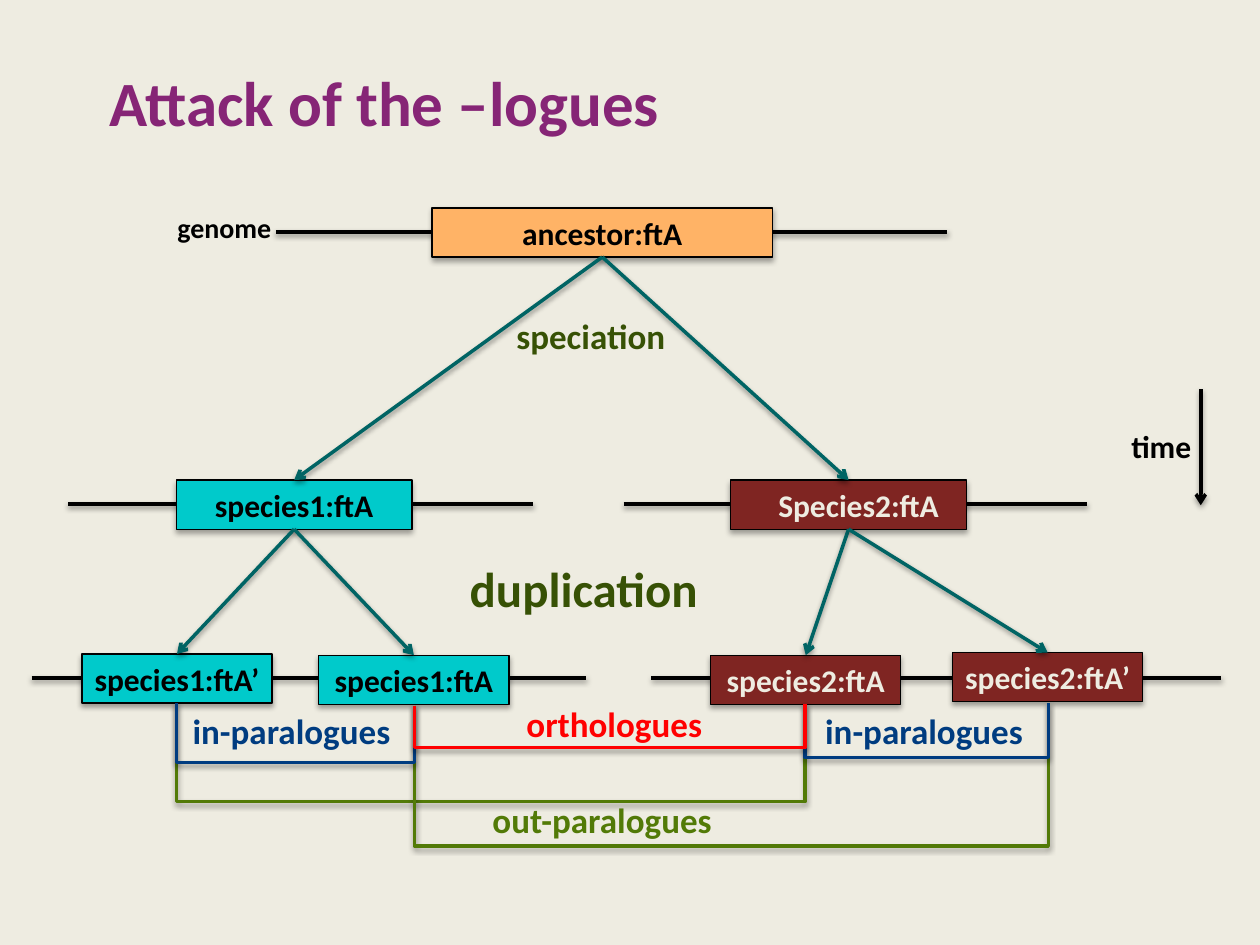
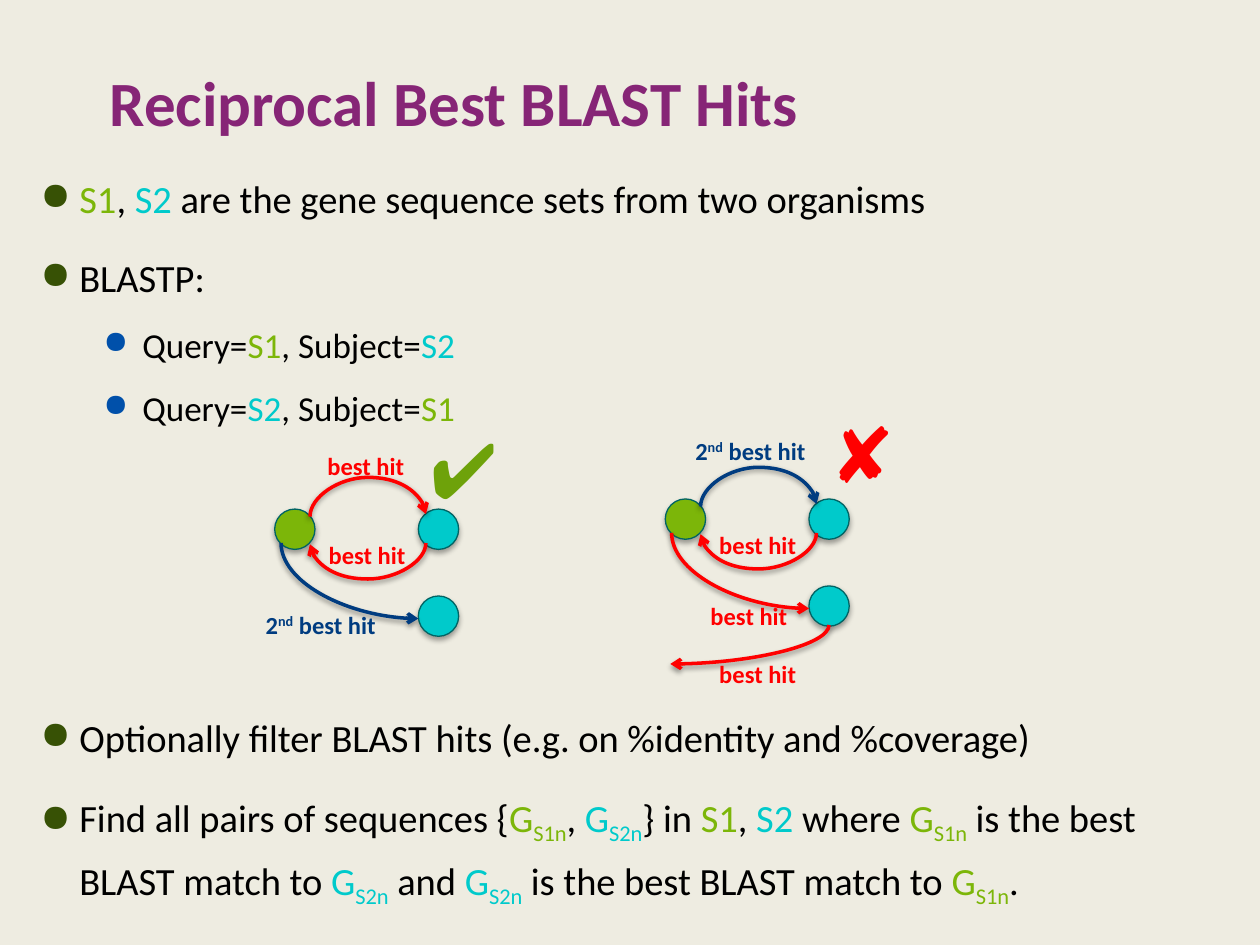
from dataclasses import dataclass

from lxml import etree
from pptx import Presentation
from pptx.dml.color import RGBColor
from pptx.enum.shapes import MSO_CONNECTOR as LINE, MSO_SHAPE as SHAPE
from pptx.enum.text import MSO_ANCHOR as ANCHOR, PP_ALIGN as ALIGN
from pptx.oxml.ns import qn
from pptx.slide import Slide
from pptx.util import Inches, Pt

FONT = "Calibri"
COLORS = {
    "paper": "EEECE1", "title": "862576", "black": "000000",
    "orange": "FFB366", "maroon": "7F2522", "cyan": "00CACB",
    "teal": "006464", "forest": "375105", "olive": "527A07",
    "green": "7CB609", "tick": "6EA20A", "navy": "003C80",
    "blue": "0050AA", "red": "FF0000",
}


def rgb(name):
    """Return the named colour."""
    return RGBColor.from_string(COLORS[name])


def sub(parent, tag, **attrs):
    """Append a drawing element with attributes."""
    el = etree.SubElement(parent, qn(tag))
    for key, value in attrs.items():
        el.set(key, str(value))
    return el


def add_shadow(spPr, alpha, dist):
    """Give a shape a soft shadow below it."""
    for old in spPr.findall(qn("a:effectLst")):
        spPr.remove(old)
    effects = sub(spPr, "a:effectLst")
    shadow = sub(effects, "a:outerShdw", blurRad=Pt(3.1), dist=Pt(dist),
                 dir=5400000, rotWithShape=0)
    color = sub(shadow, "a:srgbClr", val=COLORS["black"])
    sub(color, "a:alpha", val=alpha * 1000)


def set_font(font, size, color, bold=True):
    """Set face, size, colour and weight."""
    font.name, font.size, font.bold = FONT, Pt(size), bold
    font.color.rgb = rgb(color)


def add_runs(p, runs):
    """Add (text, colour, baseline percent) runs; a None colour is inherited."""
    for text, color, baseline in runs:
        r = p.add_run()
        r.text = text
        if color:
            r.font.color.rgb = rgb(color)
        if baseline:
            r._r.get_or_add_rPr().set("baseline", str(baseline * 1000))


@dataclass
class Region:
    """An area of a slide whose parts are placed from its top left corner."""
    slide: Slide
    left: float
    top: float

    def point(self, x, y):
        """Return slide lengths for a place in the region."""
        return Inches(self.left + x), Inches(self.top + y)

    def text_box(self, x, y, w, h):
        """Add an empty text box and return its frame."""
        return self.slide.shapes.add_textbox(
            *self.point(x, y), Inches(w), Inches(h)).text_frame

    def label(self, runs, x, y, w, h, size, color):
        """Add a bold one-line label."""
        tf = self.text_box(x, y, w, h)
        tf.word_wrap = False
        p = tf.paragraphs[0]
        add_runs(p, [(runs, None, 0)] if isinstance(runs, str) else runs)
        set_font(p.font, size, color)

    def shape(self, kind, x, y, w, h, fill, outline):
        """Add a filled shape with a shadow."""
        sp = self.slide.shapes.add_shape(
            kind, *self.point(x, y), Inches(w), Inches(h))
        sp.fill.solid()
        sp.fill.fore_color.rgb = rgb(fill)
        sp.line.color.rgb = rgb(outline)
        sp.line.width = Pt(0.75)
        add_shadow(sp._element.spPr, 35, 1.8)
        return sp

    def line(self, start, end, color="black", arrow=False, kind=LINE.STRAIGHT):
        """Add a connector with a shadow."""
        c = self.slide.shapes.add_connector(
            kind, *self.point(*start), *self.point(*end))
        c.line.color.rgb = rgb(color)
        c.line.width = Pt(2)
        if arrow:
            sub(c.line._get_or_add_ln(), "a:tailEnd", type="arrow")
        add_shadow(c._element.spPr, 38, 1.6)
        return c

    def bend(self, start, end, color, dip=None, arrow=False, kind=LINE.ELBOW):
        """Add a connector that leaves vertically, turning at the dip height."""
        (x1, y1), (x2, y2) = start, end
        right, up = x2 > x1, y2 < y1
        cx, cy = (x1 + x2) / 2, (y1 + y2) / 2
        half_w, half_h = abs(y2 - y1) / 2, abs(x2 - x1) / 2
        if right or up:
            half_w = -half_w
        if right and up:
            half_h = -half_h
        c = self.line((cx - half_w, cy - half_h), (cx + half_w, cy + half_h),
                      color, arrow, kind)
        spPr = c._element.spPr
        turn = 270 if right and not up else 90
        spPr.find(qn("a:xfrm")).set("rot", str(turn * 60000))
        geom = spPr.find(qn("a:prstGeom"))
        if dip is None:
            geom.set("prst", "curvedConnector2")
        else:
            adjust = round((dip - y1) / (y2 - y1) * 100000)
            sub(geom.find(qn("a:avLst")), "a:gd", name="adj1", fmla=f"val {adjust}")


def add_slide(prs, title):
    """Add a slide with the shared background and title."""
    slide = prs.slides.add_slide(prs.slide_layouts[6])
    slide.background.fill.solid()
    slide.background.fill.fore_color.rgb = rgb("paper")
    tf = Region(slide, 0.87, 0.44).text_box(0, 0, 7.73, 0.72)
    tf.word_wrap, tf.margin_left = True, 0
    tf.vertical_anchor = ANCHOR.MIDDLE
    p = tf.paragraphs[0]
    p.text = title
    set_font(p.font, 36, "title")
    return slide


def draw_gene(region, text, x, y, w, fill, nudge=0):
    """Draw a gene box and return its top and bottom centres."""
    h = 0.39
    sp = region.shape(SHAPE.RECTANGLE, x, y, w, h, fill, "black")
    tf = sp.text_frame
    tf.word_wrap = False
    tf.margin_left, tf.margin_right = Inches(nudge), 0
    tf.margin_top = tf.margin_bottom = 0
    tf.vertical_anchor = ANCHOR.MIDDLE
    p = tf.paragraphs[0]
    p.text, p.alignment = text, ALIGN.CENTER
    set_font(p.font, 18, "paper" if fill == "maroon" else "black")
    return (x + w / 2, y), (x + w / 2, y + h)


def draw_gene_tree(region):
    """Draw the genomes, their genes and the descent arrows."""
    for x1, x2, y in ((1.94, 7.27, 0.24), (4.7, 8.38, 2.4), (0.29, 3.98, 2.4),
                      (0, 4.4, 3.78), (4.92, 9.44, 3.78)):
        region.line((x1, y), (x2, y))
    genes = {
        "root": ("ancestor:ftA", 3.18, 0.05, 2.7, "orange"),
        "one": ("species1:ftA", 1.15, 2.21, 1.87, "cyan"),
        "two": ("Species2:ftA", 5.55, 2.21, 1.87, "maroon", 0.16),
        "one_copy": ("species1:ftA’", 0.4, 3.59, 1.51, "cyan"),
        "one_kept": ("species1:ftA", 2.28, 3.6, 1.51, "cyan"),
        "two_kept": ("species2:ftA", 5.39, 3.6, 1.51, "maroon"),
        "two_copy": ("species2:ftA’", 7.31, 3.58, 1.51, "maroon"),
    }
    ends = {key: draw_gene(region, *gene) for key, gene in genes.items()}
    children = {"root": ("one", "two"), "one": ("one_copy", "one_kept"),
                "two": ("two_kept", "two_copy")}
    for parent, heirs in children.items():
        for heir in heirs:
            region.line(ends[parent][1], ends[heir][0], "teal", True)
    region.label("speciation", 3.75, 0.85, 1.4, 0.44, 20, "forest")
    region.label("duplication", 3.38, 2.78, 2.04, 0.57, 28, "forest")
    region.label("genome", 1.06, 0.02, 0.96, 0.37, 16, "black")


def draw_time_arrow(region):
    """Draw the time axis."""
    region.label("time", 0, 0.25, 0.68, 0.4, 18, "black")
    region.line((0.65, 0), (0.65, 0.92), arrow=True)


def draw_relations(region):
    """Draw the brackets that name how the present genes are related."""
    one_copy, one_kept = (0, 0), (1.89, 0.02)
    two_kept, two_copy = (4.99, 0.01), (6.92, 0)
    for start, end, color, dip in (
            ((4.99, 0.02), one_copy, "olive", 0.78),
            (one_kept, two_copy, "olive", 1.13),
            (one_copy, one_kept, "navy", 0.47),
            (two_kept, two_copy, "navy", 0.44),
            (one_kept, two_kept, "red", 0.36)):
        region.bend(start, end, color, dip)
    for text, x, y, w, color in (
            ("in-paralogues", 0.03, 0, 1.79, "navy"),
            ("in-paralogues", 5.05, 0, 1.79, "navy"),
            ("out-paralogues", 2.41, 0.71, 2.01, "olive"),
            ("orthologues", 2.68, -0.05, 1.61, "red")):
        region.label(text, x, y, w, 0.44, 20, color)


def draw_hit_label(region, x, y, second=False):
    """Label an arrow as best or second best hit."""
    if second:
        runs = [("2", None, 0), ("nd", None, 30), (" best hit", None, 0)]
        region.label(runs, x, y, 1.1, 0.34, 14, "navy")
    else:
        region.label("best hit", x, y, 0.82, 0.34, 14, "red")


def draw_hits(region, reciprocal):
    """Draw three genes and the hits between them."""
    for x, y, fill in ((0, 0, "green"), (1.14, 0, "cyan"), (1.14, 0.69, "cyan")):
        region.shape(SHAPE.OVAL, x, y, 0.32, 0.32, fill, "teal")
    there, down = ("red", "navy") if reciprocal else ("navy", "red")
    region.bend((0.28, 0.06), (1.2, 0.04), there, -0.25, True, LINE.CURVE)
    region.bend((1.2, 0.27), (0.28, 0.28), "red", 0.56, True, LINE.CURVE)
    region.bend((0.05, 0.27), (1.14, 0.87), down, None, True, LINE.CURVE)
    draw_hit_label(region, 0.33, 0.2)
    if reciprocal:
        draw_hit_label(region, 0.32, -0.51)
        draw_hit_label(region, -0.17, 0.75, second=True)
        region.label("✔", 1.14, -0.74, 0.82, 0.84, 44, "tick")
    else:
        draw_hit_label(region, 0.14, -0.55, second=True)
        draw_hit_label(region, 0.26, 0.76)
        region.label("✘", 1.21, -0.78, 0.82, 0.84, 44, "red")
        region.bend((1.3, 1), (0.04, 1.31), "red", None, True, LINE.CURVE)
        draw_hit_label(region, 0.33, 1.22)


def add_bullet(p, runs, level=0, before=0):
    """Fill a bulleted paragraph of the given level."""
    p.level = level
    pPr = p._p.get_or_add_pPr()
    pPr.set("marL", str(Inches(0.43 + 0.5 * level)))
    pPr.set("indent", str(Inches(-0.31)))
    sub(sub(pPr, "a:buClr"), "a:srgbClr", val=COLORS["blue" if level else "forest"])
    sub(pPr, "a:buSzPct", val=90000 if level else 100000)
    sub(pPr, "a:buChar", char="●")
    p.line_spacing = 1.0 if level else 1.2
    p.space_before = Pt(before)
    p.space_after = Pt(12 if level else 13.2)
    set_font(p.font, 20 if level else 22, "black", bold=False)
    add_runs(p, runs)


def draw_method(region):
    """Write the steps, leaving room for the hit diagrams."""
    def plain(text):
        return text, None, 0

    s1, s2 = ("S1", "green", 0), ("S2", "cyan", 0)
    g1 = [("G", "green", 0), ("S1n", "green", -25)]
    g2 = [("G", "cyan", 0), ("S2n", "cyan", -25)]
    match = plain(" is the best BLAST match to ")
    steps = [
        ([s1, plain(", "), s2,
          plain(" are the gene sequence sets from two organisms")],),
        ([plain("BLASTP:")],),
        ([plain("Query="), s1, plain(", Subject="), s2], 1),
        ([plain("Query="), s2, plain(", Subject="), s1], 1),
        ([plain("Optionally filter BLAST hits (e.g. on %identity and %coverage)")],
         0, 146),
        ([plain("Find all pairs of sequences {"), *g1, plain(", "), *g2,
          plain("} in "), s1, plain(", "), s2, plain(" where "), *g1, match,
          *g2, plain(" and "), *g2, match, *g1, plain(".")],),
    ]
    tf = region.text_box(0, 0, 9.49, 6)
    tf.word_wrap, tf.margin_left = True, 0
    for i, step in enumerate(steps):
        add_bullet(tf.add_paragraph() if i else tf.paragraphs[0], *step)


def main():
    """Build both slides."""
    prs = Presentation()
    prs.slide_width, prs.slide_height = Inches(10), Inches(7.5)
    s = add_slide(prs, "Attack of the –logues")
    draw_gene_tree(Region(s, 0.25, 1.6))
    draw_time_arrow(Region(s, 8.88, 3.09))
    draw_relations(Region(s, 1.4, 5.58))
    s = add_slide(prs, "Reciprocal Best BLAST Hits")
    draw_method(Region(s, 0.2, 1.27))
    draw_hits(Region(s, 2.18, 4.04), reciprocal=True)
    draw_hits(Region(s, 5.28, 3.96), reciprocal=False)
    prs.save("out.pptx")


if __name__ == "__main__":
    main()
